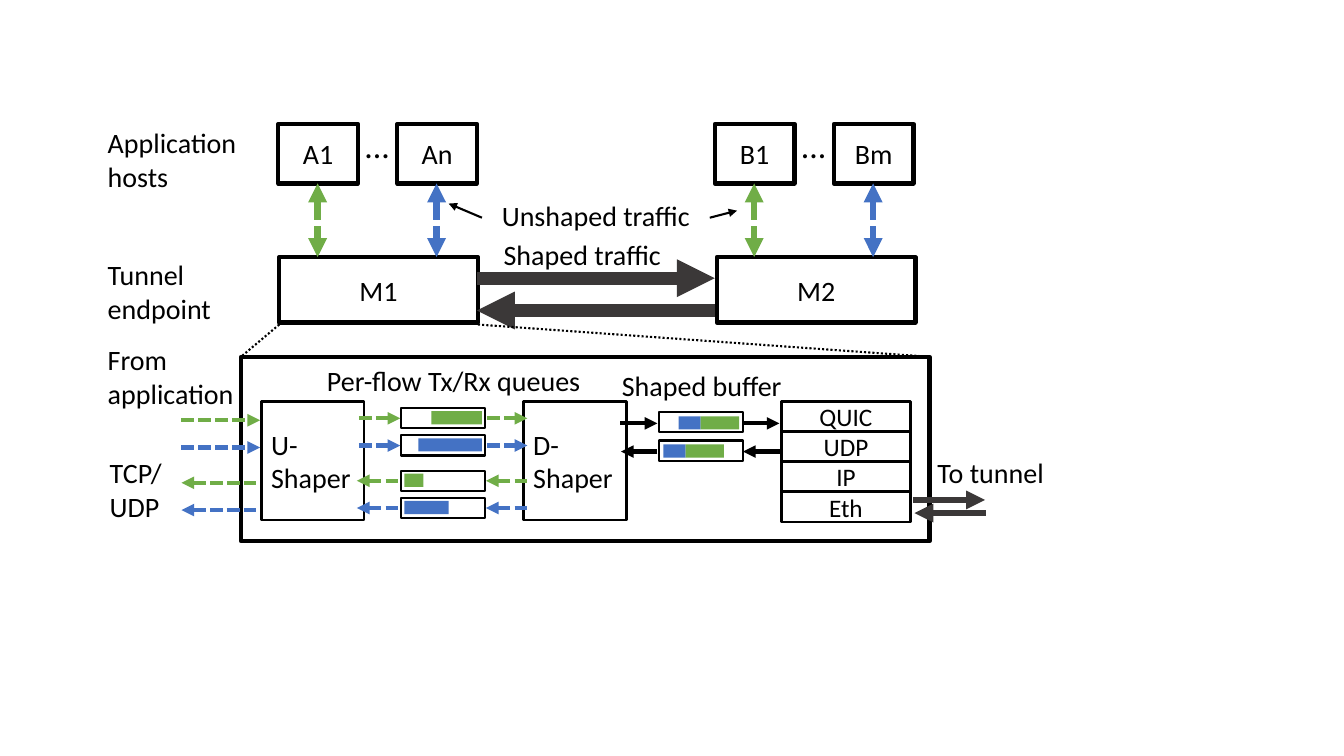
from dataclasses import dataclass
from typing import NamedTuple, Optional

from lxml.etree import SubElement
from pptx import Presentation
from pptx.dml.color import RGBColor
from pptx.enum.dml import MSO_LINE
from pptx.enum.shapes import MSO_CONNECTOR, MSO_SHAPE
from pptx.enum.text import MSO_ANCHOR, MSO_AUTO_SIZE, PP_ALIGN
from pptx.oxml.ns import qn
from pptx.util import Pt

EMU_PER_PX = 9144  # 100 px to the inch


@dataclass(frozen=True)
class Theme:
    font: str = "Calibri"
    body: int = 20
    layer: int = 18
    dots: int = 24
    ink: str = "000000"
    green: str = "70AD47"
    blue: str = "4472C4"
    tunnel: str = "3B3838"


class Box(NamedTuple):
    left: int
    top: int
    width: int
    height: int


class Label(NamedTuple):
    text: str
    box: Box
    align: PP_ALIGN = PP_ALIGN.LEFT
    size: int = Theme.body


class Flow(NamedTuple):
    top: int
    color: str
    fill_left: int
    fill_width: int
    outbound: bool


THEME = Theme()
CENTER = PP_ALIGN.CENTER
DASH, DOT = MSO_LINE.SQUARE_DOT, MSO_LINE.ROUND_DOT

presentation = Presentation()
presentation.slide_width = 1333 * EMU_PER_PX
presentation.slide_height = 750 * EMU_PER_PX
slide = presentation.slides.add_slide(presentation.slide_layouts[6])


def px(*lengths: int) -> list[int]:
    return [length * EMU_PER_PX for length in lengths]


def write(frame, text: str, *, size: int = THEME.body, align: PP_ALIGN = CENTER,
          anchor: MSO_ANCHOR = MSO_ANCHOR.MIDDLE) -> None:
    frame.word_wrap = True
    frame.vertical_anchor = anchor
    frame.text = text
    paragraph = frame.paragraphs[0]
    paragraph.alignment = align
    for run in paragraph.runs:
        run.font.name = THEME.font
        run.font.size = Pt(size)
        run.font.color.rgb = RGBColor.from_string(THEME.ink)


def add_box(box: Box, *, text: str = "", border: float = 3, size: int = THEME.body,
            align: PP_ALIGN = CENTER) -> None:
    shape = slide.shapes.add_shape(MSO_SHAPE.RECTANGLE, *px(*box))
    shape.shadow.inherit = False
    shape.fill.background()
    shape.line.width = Pt(border)
    shape.line.color.rgb = RGBColor.from_string(THEME.ink)
    if text:
        write(shape.text_frame, text, size=size, align=align)


def add_bar(box: Box, color: str) -> None:
    shape = slide.shapes.add_shape(MSO_SHAPE.RECTANGLE, *px(*box))
    shape.shadow.inherit = False
    shape.fill.solid()
    shape.fill.fore_color.rgb = RGBColor.from_string(color)
    shape.line.fill.background()


def add_label(label: Label) -> None:
    frame = slide.shapes.add_textbox(*px(*label.box)).text_frame
    write(frame, label.text, size=label.size, align=label.align, anchor=MSO_ANCHOR.TOP)
    frame.auto_size = MSO_AUTO_SIZE.SHAPE_TO_FIT_TEXT


def add_line(start: tuple[int, int], end: tuple[int, int], *, color: str = THEME.ink,
             width: float = 3, dash: Optional[MSO_LINE] = None,
             head: bool = False, tail: bool = False) -> None:
    connector = slide.shapes.add_connector(MSO_CONNECTOR.STRAIGHT, *px(*start, *end))
    connector.line.width = Pt(width)
    connector.line.color.rgb = RGBColor.from_string(color)
    if dash is not None:
        connector.line.dash_style = dash
    outline = connector.line._get_or_add_ln()
    for wanted, tag in ((head, "a:headEnd"), (tail, "a:tailEnd")):
        if wanted:
            SubElement(outline, qn(tag), type="triangle")
    SubElement(connector._element.spPr, qn("a:effectLst"))


def add_host_group(left: int, endpoint_left: int, first: str, last: str, endpoint: str) -> None:
    """Two application hosts above their tunnel endpoint."""
    add_box(Box(endpoint_left, 255, 197, 65), text=endpoint)
    for offset, name, color in ((0, first, THEME.green), (118, last, THEME.blue)):
        add_box(Box(left + offset, 123, 79, 59), text=name)
        center = left + offset + 39
        add_line((center, 182), (center, 255), color=color, width=4.5, dash=DASH,
                 head=True, tail=True)
    add_label(Label("...", Box(left + 63, 119, 70, 50), CENTER, THEME.dots))


def add_flow(flow: Flow) -> None:
    """One queue with its dashed arrows on both sides."""
    add_box(Box(398, flow.top, 83, 20), border=1.5)
    add_bar(Box(flow.fill_left, flow.top + 3, flow.fill_width, 13), flow.color)
    inner = ((356, 397), (483, 523)) if flow.outbound else ((354, 396), (482, 526))
    for (left, right), drop in ((inner[0], 10), (inner[1], 10), ((180, 258), 12)):
        y = flow.top + drop
        add_line((left, y), (right, y), color=flow.color, dash=DASH,
                 head=not flow.outbound, tail=flow.outbound)


def add_shaped_buffer(top: int, blue_left: int, arrows: tuple[tuple[int, int], ...]) -> None:
    add_box(Box(654, top, 83, 20), border=1.5)
    add_bar(Box(blue_left, top + 4, 22, 13), THEME.blue)
    add_bar(Box(blue_left + 22, top + 4, 38, 13), THEME.green)
    for start, end in arrows:
        add_line((start, top + 11), (end, top + 11), tail=True)


# Hosts and tunnel endpoints
add_host_group(276, 277, "A1", "An", "M1")
add_host_group(709, 711, "B1", "Bm", "M2")

# Shaped traffic between the endpoints
add_line((473, 276), (709, 276), color=THEME.tunnel, width=9, tail=True)
add_line((473, 308), (709, 308), color=THEME.tunnel, width=9, head=True)

# Pointers to the unshaped traffic
add_line((478, 216), (445, 202), width=1.5, tail=True)
add_line((704, 216), (731, 209), width=1.5, tail=True)

# Enlarged endpoint with its two shapers
add_box(Box(239, 354, 683, 183))
add_line((277, 322), (239, 354), width=1.5, dash=DOT)
add_line((474, 322), (922, 354), width=1.5, dash=DOT)
for left, name in ((259, "U-Shaper"), (519, "D-\vShaper")):
    add_box(Box(left, 398, 102, 118), text=name, border=2, align=PP_ALIGN.LEFT)

# Per-flow queues
for flow in (
    Flow(405, THEME.green, 428, 50, True),
    Flow(432, THEME.blue, 415, 63, True),
    Flow(467, THEME.green, 401, 19, False),
    Flow(494, THEME.blue, 401, 44, False),
):
    add_flow(flow)

# Shaped buffers
add_shaped_buffer(409, 673, ((615, 652), (736, 773)))
add_shaped_buffer(437, 658, ((652, 616), (774, 737)))

# Protocol stack and its tunnel link
for row, protocol in enumerate(("QUIC", "UDP", "IP", "Eth")):
    add_box(Box(775, 398 + row * 30, 128, 30), text=protocol, border=2, size=THEME.layer)
add_line((906, 496), (977, 496), color=THEME.tunnel, width=4.5, tail=True)
add_line((907, 509), (978, 509), color=THEME.tunnel, width=4.5, head=True)

# Labels
for label in (
    Label("Application hosts", Box(97, 120, 180, 77)),
    Label("Tunnel endpoint", Box(97, 251, 167, 77)),
    Label("From application", Box(97, 335, 149, 77)),
    Label("TCP/UDP", Box(99, 447, 83, 78)),
    Label("To tunnel", Box(920, 447, 143, 44)),
    Label("Unshaped traffic", Box(478, 192, 226, 48), CENTER),
    Label("Shaped traffic", Box(485, 231, 185, 44), CENTER),
    Label("Per-flow Tx/Rx queues", Box(296, 356, 308, 44), CENTER),
    Label("Shaped buffer", Box(605, 361, 182, 44), CENTER),
):
    add_label(label)

presentation.save("out.pptx")
